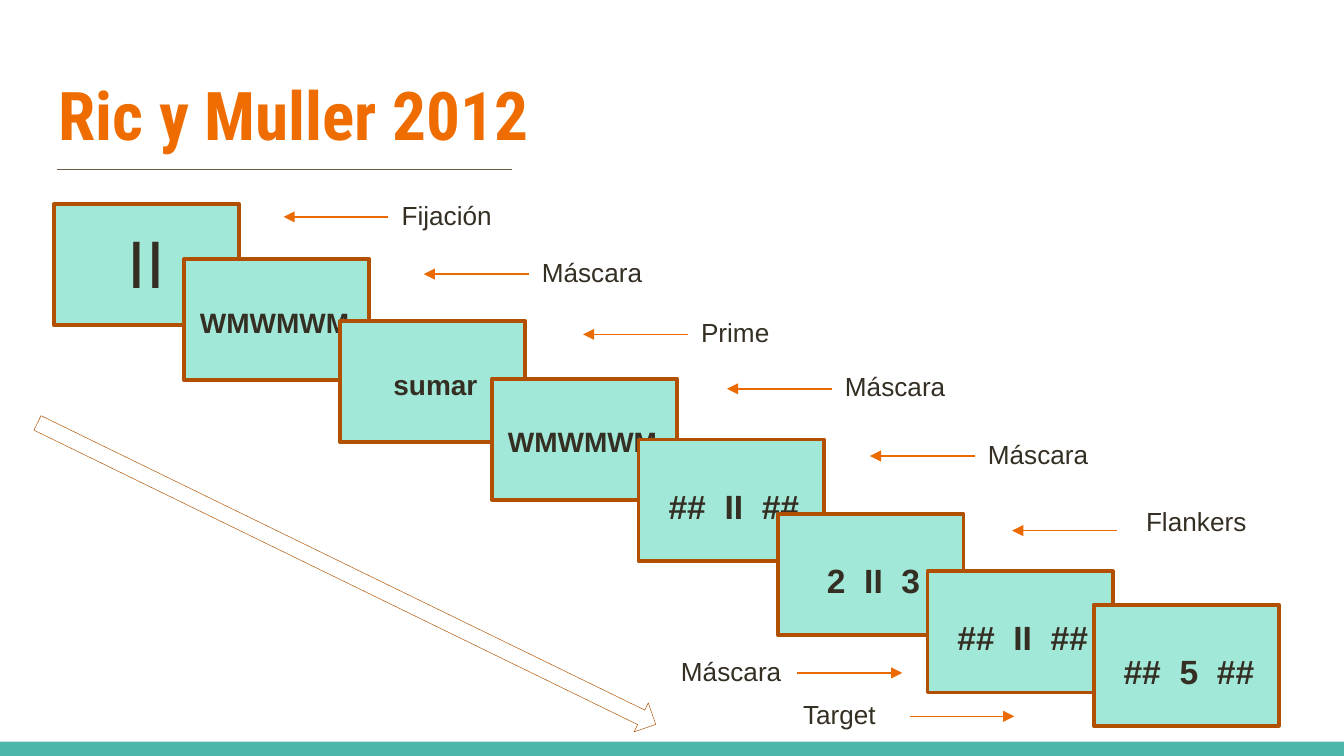
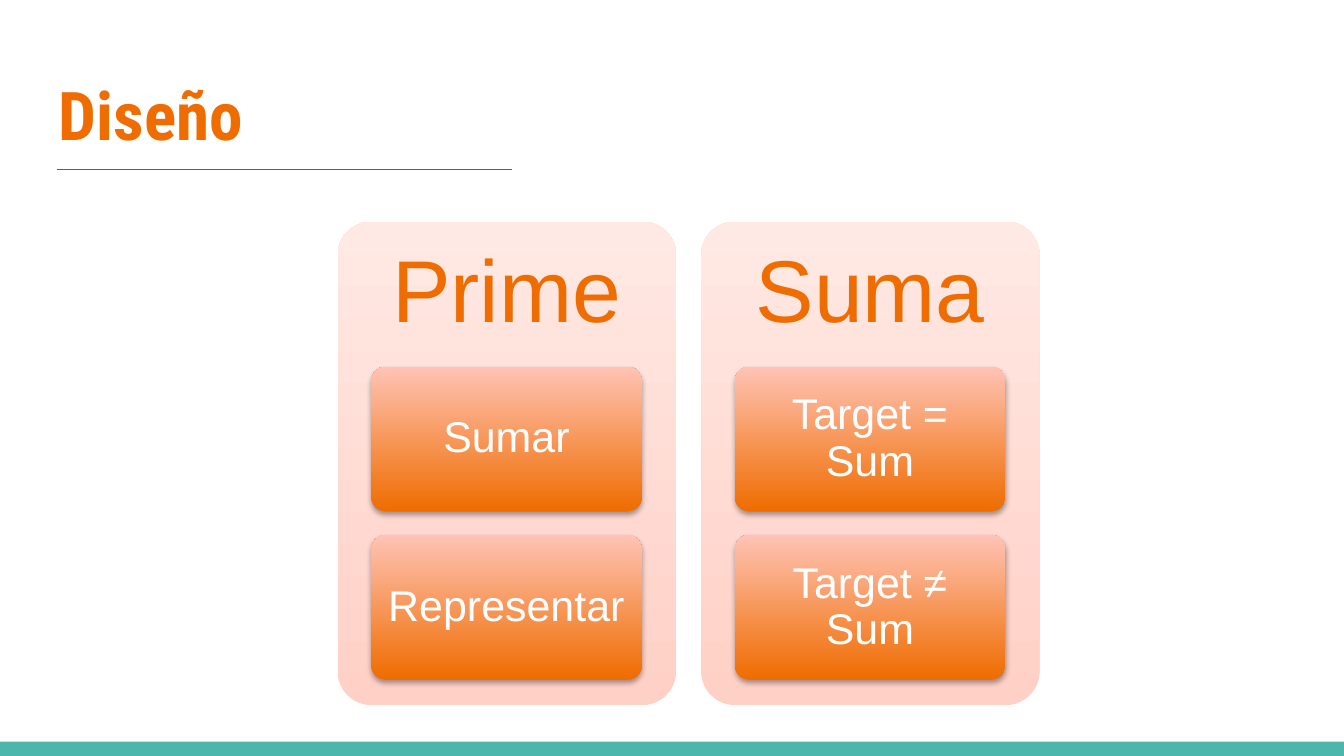
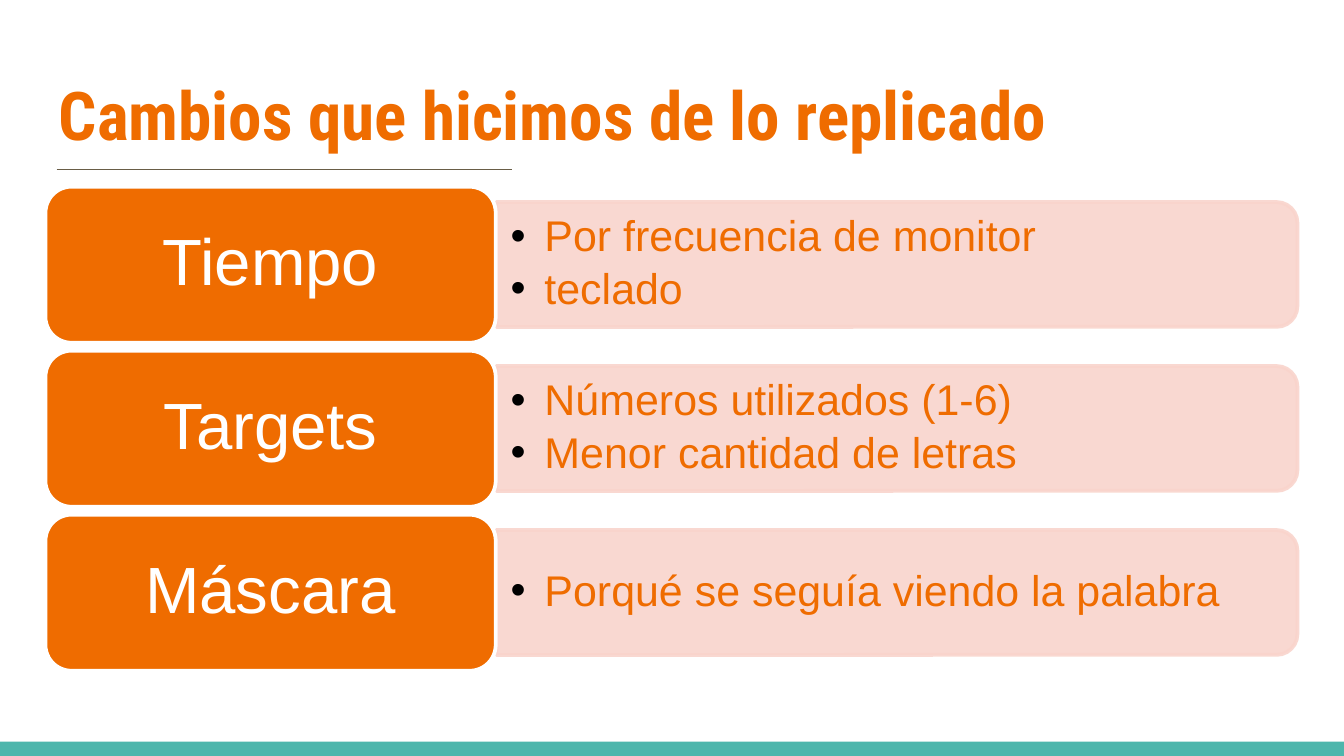
from dataclasses import dataclass

from lxml.etree import SubElement
from pptx import Presentation
from pptx.dml.color import RGBColor
from pptx.enum.shapes import MSO_CONNECTOR, MSO_SHAPE as Preset
from pptx.enum.text import MSO_ANCHOR as Anchor, MSO_AUTO_SIZE as AutoSize, PP_ALIGN as Align
from pptx.oxml.ns import qn
from pptx.shapes.autoshape import Shape
from pptx.shapes.connector import Connector
from pptx.slide import Slide
from pptx.text.text import TextFrame
from pptx.util import Cm, Pt

WHITE = RGBColor(0xFF, 0xFF, 0xFF)
BLACK = RGBColor(0x00, 0x00, 0x00)
ORANGE = RGBColor(0xEF, 0x6C, 0x00)
ARROW_ORANGE = RGBColor(0xEA, 0x6A, 0x00)
BROWN = RGBColor(0xB1, 0x50, 0x00)
INK = RGBColor(0x34, 0x2E, 0x23)
RULE_GREY = RGBColor(0x69, 0x5D, 0x46)
TEAL = RGBColor(0x4D, 0xB6, 0xAC)
MINT = RGBColor(0xA1, 0xE8, 0xD9)
BAR_PINK = RGBColor(0xF9, 0xD4, 0xCC)
PANEL_GRADIENT = (RGBColor(0xFF, 0xD0, 0xC6), RGBColor(0xFF, 0xE9, 0xE4))
CARD_GRADIENT = (ORANGE, RGBColor(0xFF, 0xC3, 0xB5))

SLIDE_W, SLIDE_H = 25.4, 14.29
TITLE_ONLY, COMPARISON = 5, 4


@dataclass(frozen=True)
class TextStyle:
    size: float
    color: RGBColor = INK
    font: str = "Arial"
    bold: bool = False
    align: Align = Align.LEFT
    anchor: Anchor = Anchor.TOP
    margins: tuple[float, float] = (0.25, 0.13)
    line_spacing: float = 1.0
    space_after: float = 0
    bulleted: bool = False
    fit: AutoSize = AutoSize.NONE


TITLE = TextStyle(36, ORANGE, "Roboto Condensed", bold=True, margins=(0.25, 0.25))
FIXATION = TextStyle(36, fit=AutoSize.SHAPE_TO_FIT_TEXT)
MASK = TextStyle(15, bold=True, fit=AutoSize.SHAPE_TO_FIT_TEXT)
PRIME = TextStyle(15, bold=True, align=Align.CENTER, fit=AutoSize.SHAPE_TO_FIT_TEXT)
DIGITS = TextStyle(18, bold=True, align=Align.CENTER, fit=AutoSize.SHAPE_TO_FIT_TEXT)
CUE = TextStyle(14, fit=AutoSize.SHAPE_TO_FIT_TEXT)
CENTERED_CUE = TextStyle(14, align=Align.CENTER, fit=AutoSize.SHAPE_TO_FIT_TEXT)
PANEL_HEADING = TextStyle(47, ORANGE, align=Align.CENTER, anchor=Anchor.MIDDLE,
                          margins=(0.5, 0.5), line_spacing=0.9)
CARD = TextStyle(23, WHITE, align=Align.CENTER, anchor=Anchor.MIDDLE,
                 margins=(0.15, 0.13), line_spacing=0.9)
BLOCK = TextStyle(35, WHITE, align=Align.CENTER, anchor=Anchor.MIDDLE,
                  margins=(0.38, 0.18), line_spacing=0.9)
CHANGE_LIST = TextStyle(23, ORANGE, anchor=Anchor.MIDDLE, line_spacing=0.9,
                        space_after=3.5, bulleted=True)


@dataclass(frozen=True)
class Screen:
    """One stimulus screen; the text offset is measured from its corner."""
    text: str
    left: float
    top: float
    style: TextStyle
    text_dx: float = 0.05
    text_dy: float = 0.74
    text_width: float = 3.5


@dataclass(frozen=True)
class Cue:
    """A label and its arrow, whose start is measured from the label's corner."""
    text: str
    left: float
    top: float
    arrow_dx: float = 0
    arrow_dy: float = 0.47
    arrow_length: float = -1.98
    width: float = 2.62
    style: TextStyle = CUE


@dataclass(frozen=True)
class Panel:
    heading: str
    cards: tuple[str, ...]


@dataclass(frozen=True)
class Change:
    topic: str
    details: tuple[str, ...]


SCREENS = (
    Screen("II", 1.02, 3.86, FIXATION, 1.14, 0.2, 1.35),
    Screen("WMWMWM", 3.48, 4.9, MASK),
    Screen("sumar", 6.43, 6.07, PRIME),
    Screen("WMWMWM", 9.3, 7.16, MASK),
    Screen("##  II  ##", 12.07, 8.31, DIGITS),
    Screen("2  II  3", 14.71, 9.72, DIGITS),
    Screen("##  II  ##", 17.53, 10.8, DIGITS),
    Screen("##  5  ##", 20.67, 11.43, DIGITS),
)
CUES = (
    Cue("Fijación", 7.34, 3.63),
    Cue("Máscara", 9.99, 4.71),
    Cue("Prime", 13, 5.85),
    Cue("Máscara", 15.72, 6.88),
    Cue("Máscara", 18.42, 8.15),
    Cue("Flankers", 21.41, 9.42, arrow_dx=-0.3, arrow_dy=0.61, width=3.9),
    Cue("Máscara", 12.62, 12.25, arrow_dx=2.45, arrow_length=1.98),
    Cue("Target", 14.38, 13.07, arrow_dx=2.81, arrow_length=1.98, width=2.97,
        style=CENTERED_CUE),
)
PANELS = (
    Panel("Prime", ("Sumar", "Representar")),
    Panel("Suma", ("Target = Sum", "Target ≠ Sum")),
)
CHANGES = (
    Change("Tiempo", ("Por frecuencia de monitor", "teclado")),
    Change("Targets", ("Números utilizados (1-6)", "Menor cantidad de letras")),
    Change("Máscara", ("Porqué se seguía viendo la palabra",)),
)


def add_bullet(paragraph) -> None:
    properties = paragraph._p.get_or_add_pPr()
    properties.set("marL", str(Cm(0.64)))
    properties.set("indent", str(-Cm(0.64)))
    bullet_color = SubElement(properties, qn("a:buClr"))
    SubElement(bullet_color, qn("a:srgbClr"), val=str(BLACK))
    SubElement(properties, qn("a:buFont"), typeface="Arial")
    SubElement(properties, qn("a:buChar"), char="•")


def write(frame: TextFrame, lines: tuple[str, ...], style: TextStyle) -> None:
    frame.text = "\n".join(lines)
    frame.word_wrap = True
    frame.auto_size = style.fit
    frame.vertical_anchor = style.anchor
    frame.margin_left = frame.margin_right = Cm(style.margins[0])
    frame.margin_top = frame.margin_bottom = Cm(style.margins[1])
    for paragraph in frame.paragraphs:
        if style.bulleted:
            add_bullet(paragraph)
        paragraph.alignment = style.align
        paragraph.line_spacing = style.line_spacing
        paragraph.space_before = Pt(0)
        paragraph.space_after = Pt(style.space_after)
        paragraph.font.size = Pt(style.size)
        paragraph.font.name = style.font
        paragraph.font.bold = style.bold
        paragraph.font.color.rgb = style.color


def place(shape: Shape, left: float, top: float, width: float, height: float) -> None:
    shape.left, shape.top = Cm(left), Cm(top)
    shape.width, shape.height = Cm(width), Cm(height)


def add_text(slide: Slide, text: str, left: float, top: float, width: float,
             height: float, style: TextStyle) -> None:
    box = slide.shapes.add_textbox(Cm(left), Cm(top), Cm(width), Cm(height))
    write(box.text_frame, (text,), style)


def add_preset(slide: Slide, preset: Preset, left: float, top: float, width: float,
               height: float, fill: RGBColor | None = None,
               line: RGBColor | None = None, line_width: float = 2) -> Shape:
    shape = slide.shapes.add_shape(preset, Cm(left), Cm(top), Cm(width), Cm(height))
    shape.shadow.inherit = False
    if fill is None:
        shape.fill.background()
    else:
        shape.fill.solid()
        shape.fill.fore_color.rgb = fill
    if line is None:
        shape.line.fill.background()
    else:
        shape.line.color.rgb = line
        shape.line.width = Pt(line_width)
    return shape


def add_line(slide: Slide, start: float, end: float, y: float, color: RGBColor) -> Connector:
    """Draw a thin horizontal line."""
    line = slide.shapes.add_connector(MSO_CONNECTOR.STRAIGHT, Cm(start), Cm(y), Cm(end), Cm(y))
    line.line.color.rgb = color
    line.line.width = Pt(0.75)
    SubElement(line._element.spPr, qn("a:effectLst"))
    return line


def add_gradient_card(slide: Slide, left: float, top: float, width: float, height: float,
                      colors: tuple[RGBColor, RGBColor]) -> Shape:
    """Draw a rounded card whose colours run from bottom to top."""
    card = add_preset(slide, Preset.ROUNDED_RECTANGLE, left, top, width, height)
    card.adjustments[0] = 0.1
    card.fill.gradient()
    card.fill.gradient_angle = 90
    for stop, position, color in zip(card.fill.gradient_stops, (0, 1), colors):
        stop.position = position
        stop.color.rgb = color
    return card


def add_drop_shadow(shape: Shape) -> None:
    effects = shape._element.spPr.find(qn("a:effectLst"))
    shadow = SubElement(effects, qn("a:outerShdw"), blurRad=str(Pt(3.1)), dist=str(Pt(1.8)),
                        dir="5400000", rotWithShape="0")
    shadow_color = SubElement(shadow, qn("a:srgbClr"), val=str(BLACK))
    SubElement(shadow_color, qn("a:alpha"), val="35000")


def add_titled_slide(deck: Presentation, layout: int, title: str) -> Slide:
    slide = deck.slides.add_slide(deck.slide_layouts[layout])
    place(slide.shapes.title, 0.86, 1.14, 23.67, 1.96)
    write(slide.shapes.title.text_frame, (title,), TITLE)
    add_line(slide, 1.07, 9.68, 3.2, RULE_GREY)
    return slide


def add_master_band(deck: Presentation, slide: Slide) -> None:
    """Draw the bottom band and move it to the master, so all slides show it."""
    band = add_preset(slide, Preset.RECTANGLE, 0, 14.02, SLIDE_W, 0.27, TEAL)
    deck.slide_master.shapes._spTree.append(band._element)


def build_procedure(deck: Presentation) -> Slide:
    slide = add_titled_slide(deck, TITLE_ONLY, "Ric y Muller 2012")
    time_arrow = add_preset(slide, Preset.RIGHT_ARROW, 0.05, 10.54, 13, 0.61,
                            line=BROWN, line_width=0.25)
    time_arrow.rotation = 26
    for screen in SCREENS:
        add_preset(slide, Preset.RECTANGLE, screen.left, screen.top, 3.5, 2.29, MINT, BROWN)
        add_text(slide, screen.text, screen.left + screen.text_dx, screen.top + screen.text_dy,
                 screen.text_width, 0.9, screen.style)
    for cue in CUES:
        add_text(slide, cue.text, cue.left, cue.top, cue.width, 0.86, cue.style)
        start = cue.left + cue.arrow_dx
        arrow = add_line(slide, start, start + cue.arrow_length, cue.top + cue.arrow_dy,
                         ARROW_ORANGE)
        SubElement(arrow.line._get_or_add_ln(), qn("a:tailEnd"), type="triangle")
    return slide


def build_design(deck: Presentation) -> None:
    slide = add_titled_slide(deck, TITLE_ONLY, "Diseño")
    for column, panel in enumerate(PANELS):
        left = 6.38 + 6.87 * column
        add_gradient_card(slide, left, 4.19, 6.4, 9.14, PANEL_GRADIENT)
        add_text(slide, panel.heading, left, 4.19, 6.4, 2.74, PANEL_HEADING)
        for row, condition in enumerate(panel.cards):
            card = add_gradient_card(slide, left + 0.64, 6.93 + 3.18 * row, 5.11, 2.74,
                                     CARD_GRADIENT)
            add_drop_shadow(card)
            write(card.text_frame, (condition,), CARD)


def build_changes(deck: Presentation) -> None:
    slide = add_titled_slide(deck, COMPARISON, "Cambios que hicimos de lo replicado")
    bodies = list(slide.placeholders)[1:]
    for spare in bodies[len(CHANGES):]:
        spare._element.getparent().remove(spare._element)

    bar_length, bar_height = 15.14, 2.36
    for row, (change, body) in enumerate(zip(CHANGES, bodies)):
        middle = 5 + 3.1 * row
        bar = add_preset(slide, Preset.ROUND_2_SAME_RECTANGLE, 16.95 - bar_height / 2,
                         middle - bar_length / 2, bar_height, bar_length, BAR_PINK, BAR_PINK)
        bar.rotation = 90
        for bar_color in bar._element.spPr.iter(qn("a:srgbClr")):
            SubElement(bar_color, qn("a:alpha"), val="90000")

        place(body, 9.4, middle - 1.07, 15.04, 2.13)
        write(body.text_frame, change.details, CHANGE_LIST)
        slide.shapes._spTree.append(body._element)

        block = add_preset(slide, Preset.ROUNDED_RECTANGLE, 0.86, middle - 1.47, 8.51, 2.95,
                           ORANGE, WHITE)
        write(block.text_frame, (change.topic,), BLOCK)


def main() -> None:
    deck = Presentation()
    deck.slide_width, deck.slide_height = Cm(SLIDE_W), Cm(SLIDE_H)
    add_master_band(deck, build_procedure(deck))
    build_design(deck)
    build_changes(deck)
    deck.save("out.pptx")


if __name__ == "__main__":
    main()
